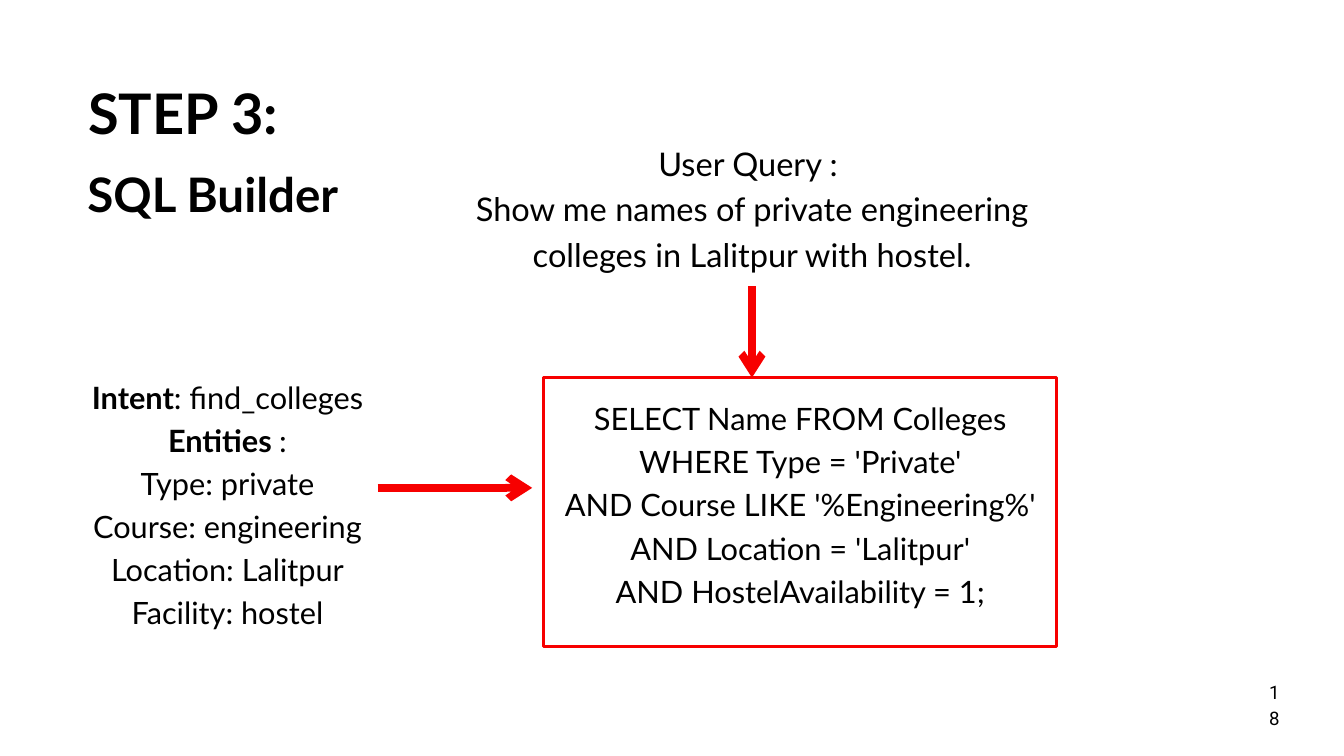
from dataclasses import dataclass

from pptx import Presentation
from pptx.dml.color import RGBColor
from pptx.enum.shapes import MSO_CONNECTOR, MSO_SHAPE
from pptx.enum.text import MSO_ANCHOR, PP_ALIGN
from pptx.oxml.ns import qn
from pptx.util import Inches, Pt
from lxml import etree

CENTER = PP_ALIGN.CENTER
TOP = MSO_ANCHOR.TOP
RECTANGLE = MSO_SHAPE.RECTANGLE
STRAIGHT = MSO_CONNECTOR.STRAIGHT


@dataclass(frozen=True)
class Theme:
    text: RGBColor = RGBColor(0, 0, 0)
    paper: RGBColor = RGBColor(255, 255, 255)
    accent: RGBColor = RGBColor(0xF7, 0, 0)
    font: str = "Lato"
    number_font: str = "Roboto"
    title: float = 59.9
    subtitle: float = 50.9
    query: float = 34.9
    entities: float = 32.9
    sql: float = 33
    number: float = 20
    line_spacing: float = 1.4
    border: float = 3
    arrow: float = 8.25


THEME = Theme()


def set_attributes(target, values):
    for name, value in values.items():
        setattr(target, name, value)


def add_text(slide, box, lines, size, bold=False, font=THEME.font):
    """Add centred lines; a line is a string or a list of (text, bold) runs."""
    shape = slide.shapes.add_textbox(*map(Inches, box))
    frame = shape.text_frame
    set_attributes(frame, {
        "margin_left": 0, "margin_top": 0, "margin_right": 0,
        "margin_bottom": 0, "word_wrap": True, "vertical_anchor": TOP,
    })
    for index, line in enumerate(lines):
        paragraph = frame.add_paragraph() if index else frame.paragraphs[0]
        set_attributes(paragraph, {
            "alignment": CENTER,
            "line_spacing": Pt(round(size * THEME.line_spacing, 1)),
        })
        runs = [(line, bold)] if isinstance(line, str) else line
        for text, run_bold in runs:
            run = paragraph.add_run()
            run.text = text
            set_attributes(run.font, {
                "name": font, "size": Pt(size), "bold": run_bold})
            run.font.color.rgb = THEME.text


def add_frame(slide, box):
    shape = slide.shapes.add_shape(RECTANGLE, *map(Inches, box))
    shape.shadow.inherit = False
    shape.fill.solid()
    shape.fill.fore_color.rgb = THEME.paper
    shape.line.color.rgb = THEME.accent
    shape.line.width = Pt(THEME.border)


def add_arrow(slide, start, end):
    connector = slide.shapes.add_connector(
        STRAIGHT, *map(Inches, (*start, *end)))
    connector.line.color.rgb = THEME.accent
    connector.line.width = Pt(THEME.arrow)
    # Open arrowhead at the end, and no shadow
    properties = connector._element.spPr
    etree.SubElement(properties.find(qn("a:ln")), qn("a:tailEnd"), type="arrow")
    etree.SubElement(properties, qn("a:effectLst"))


def main():
    presentation = Presentation()
    set_attributes(presentation, {
        "slide_width": Inches(20), "slide_height": Inches(11.25)})
    slide = presentation.slides.add_slide(presentation.slide_layouts[6])

    # Headings
    add_text(slide, (1.15, 1, 3.15, 1.11), ["STEP 3:"], THEME.title, bold=True)
    add_text(slide, (1.09, 2.31, 4.15, 0.95), ["SQL Builder"],
             THEME.subtitle, bold=True)

    # Inputs: the user's query and the values found in it
    add_text(slide, (6.51, 2.04, 9.37, 2.01), [
        "User Query : ",
        "Show me names of private engineering colleges in Lalitpur with hostel.",
    ], THEME.query)
    add_text(slide, (1.15, 5.54, 4.47, 3.8), [
        [("Intent", True), (": find_colleges", False)],
        [("Entities ", True), (":", False)],
        "Type: private",
        "Course: engineering",
        "Location: Lalitpur",
        "Facility: hostel",
    ], THEME.entities)

    # Output: the SQL statement in its frame
    add_frame(slide, (8.09, 5.62, 7.63, 4))
    add_text(slide, (8.21, 5.86, 7.4, 3.17), [
        "SELECT Name FROM Colleges",
        "WHERE Type = 'Private'",
        "AND Course LIKE '%Engineering%'",
        "AND Location = 'Lalitpur'",
        "AND HostelAvailability = 1;",
    ], THEME.sql)

    # Arrows from the inputs to the output
    add_arrow(slide, (11.19, 4.26), (11.19, 5.62))
    add_arrow(slide, (5.62, 7.26), (7.92, 7.26))

    # Page number, in a box one digit wide
    add_text(slide, (18.88, 10.07, 0.17, 0.22), ["18"], THEME.number,
             font=THEME.number_font)

    presentation.save("out.pptx")


if __name__ == "__main__":
    main()
